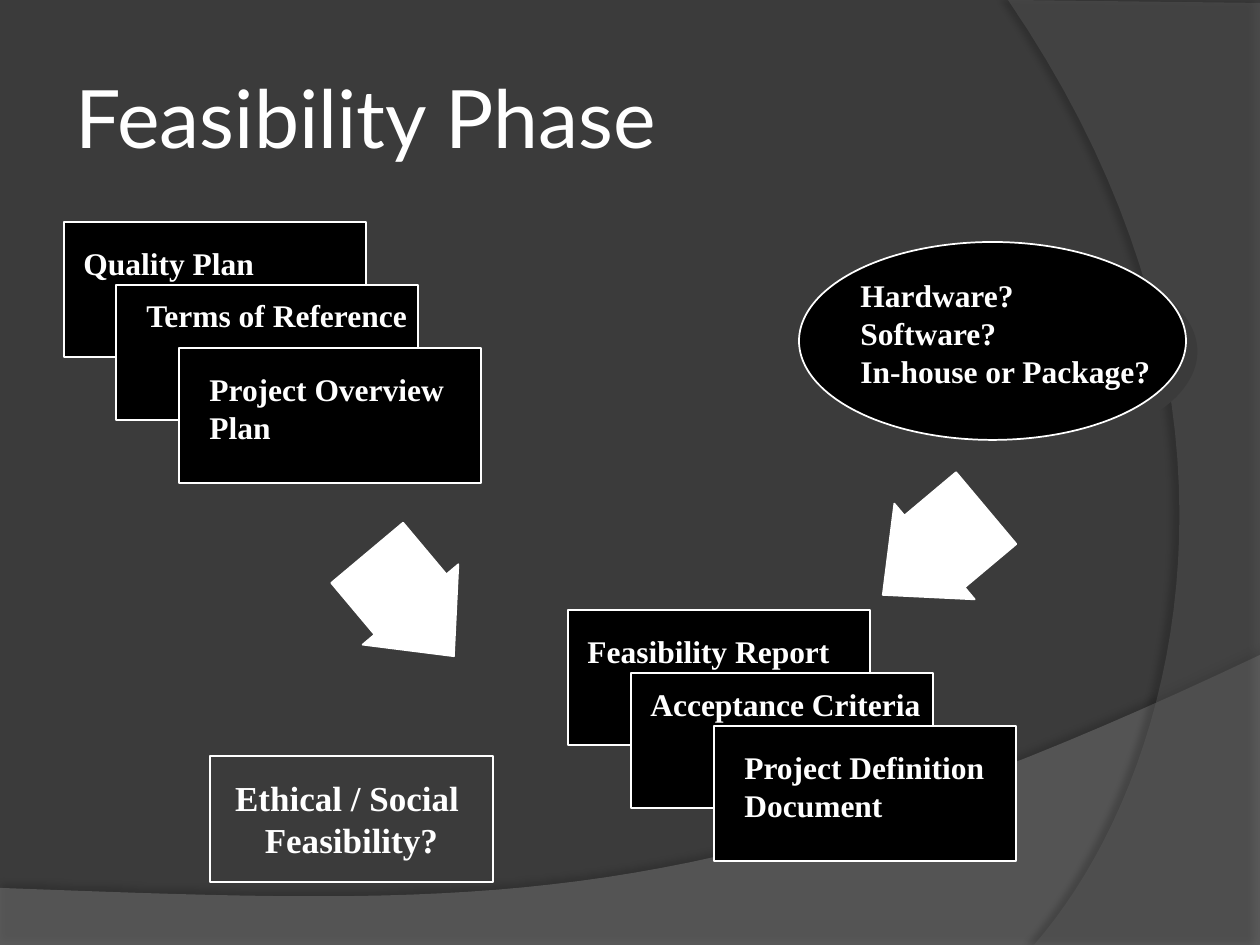
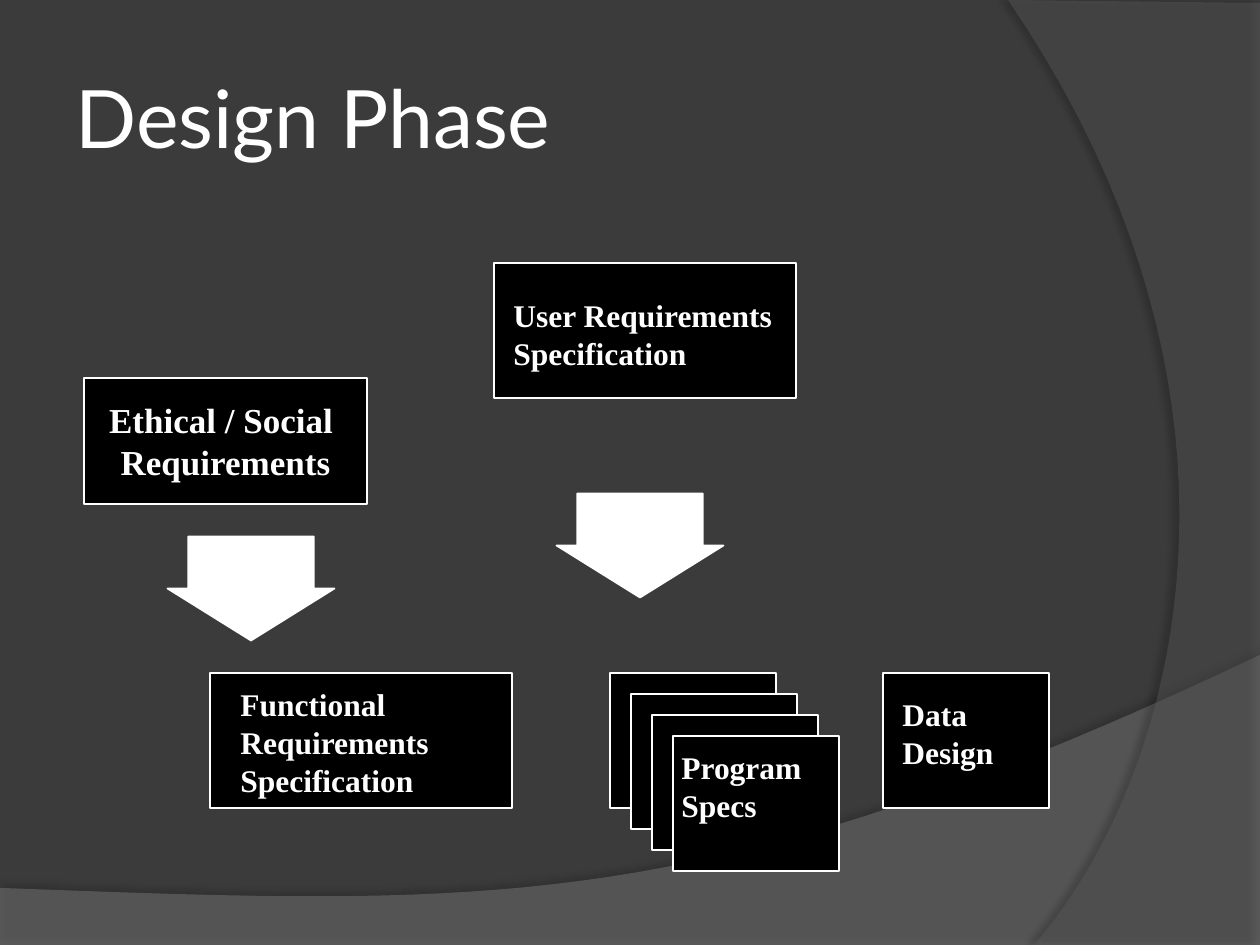
from dataclasses import dataclass

from lxml.etree import SubElement
from pptx import Presentation
from pptx.dml.color import RGBColor as RGB
from pptx.enum.shapes import MSO_SHAPE as SHAPE
from pptx.enum.text import MSO_ANCHOR as ANCHOR, MSO_AUTO_SIZE as AUTO, PP_ALIGN as ALIGN
from pptx.oxml.ns import qn
from pptx.util import Pt


@dataclass(frozen=True)
class Theme:
    back: str = "3B3B3B"
    ink: str = "FFFFFF"
    card: str = "000000"
    floor: str = "7F7F7F"
    side: str = "5E5E5E"
    title_font: str = "Lato"
    text_font: str = "Times New Roman"
    title: int = 46
    label: int = 18
    issue: int = 20


T = Theme()
SCALE = 914400 / 126
CARD_W, CARD_H = 302, 135
SMALL_W = 166
STACK_STEP = 21
TITLE_BOX = (63, 38, 1029, 157)

BANDS = [
    dict(corners=[(0, 888), (0, 945), (1260, 945), (1260, 655)],
         curve=[(704, 919), (493, 906), (0, 888)],
         color=T.floor, alpha=45, shadow=("000000", 35, 4, 3.5, 270)),
    dict(corners=[(1260, 3), (1260, 945), (1034, 945)],
         curve=[(1178, 780), (1283, 402), (1008, 0)],
         color=T.side, alpha=40, shadow=("000000", 45, 4, 4, 180)),
]

SLIDES = [
    dict(
        title="Feasibility Phase",
        cards=[(64, 222, CARD_W), (116, 285, CARD_W), (179, 348, CARD_W),
               (568, 610, CARD_W), (631, 673, CARD_W), (714, 726, CARD_W)],
        ovals=[(799, 242, 387, 198)],
        labels=[(71, 238, 198, ["Quality Plan"]),
                (134, 290, 291, ["Terms of Reference"]),
                (197, 364, 270, ["Project Overview", "Plan"]),
                (575, 626, 270, ["Feasibility Report"]),
                (638, 679, 297, ["Acceptance Criteria"]),
                (732, 742, 267, ["Project Definition", "Document"]),
                (848, 270, 315, ["Hardware?", "Software?", "In-house or Package?"])],
        arrows=[(343, 542, 135, 125, 50, 0.54), (867, 489, 135, 125, 140, 0.54)],
        issue=(210, 756, None, ["Ethical / Social ", "Feasibility?"]),
    ),
    dict(
        title="Design Phase",
        cards=[(494, 263, CARD_W), (210, 673, CARD_W)]
              + [(610 + i * STACK_STEP, 673 + i * STACK_STEP, SMALL_W) for i in range(4)]
              + [(883, 673, SMALL_W)],
        ovals=[],
        labels=[(501, 290, 286, ["User Requirements", "Specification"]),
                (228, 679, 215, ["Functional", "Requirements", "Specification"]),
                (669, 742, 147, ["Program", "Specs"]),
                (890, 689, 117, ["Data", "Design"])],
        arrows=[(588, 462, 104, 167, 90, 0.5), (199, 505, 104, 167, 90, 0.5)],
        issue=(84, 378, T.card, ["Ethical / Social ", "Requirements"]),
    ),
]


def px(*values):
    return [round(v * SCALE) for v in values]


def rgb(color):
    return RGB.from_string(color)


def color_node(parent, color, alpha):
    node = SubElement(parent, qn("a:srgbClr"), val=color)
    SubElement(node, qn("a:alpha"), val=str(alpha * 1000))


def add_shadow(sp, color, alpha, blur, dist, angle):
    effects = sp.element.spPr.find(qn("a:effectLst"))
    shadow = SubElement(effects, qn("a:outerShdw"), blurRad=str(Pt(blur)),
                        dist=str(Pt(dist)), dir=str(angle * 60000),
                        algn="ctr", rotWithShape="0")
    color_node(shadow, color, alpha)


def add_box(slide, kind, box, fill=T.card, line=1):
    sp = slide.shapes.add_shape(kind, *px(*box))
    sp.shadow.inherit = False
    if fill:
        sp.fill.solid()
        sp.fill.fore_color.rgb = rgb(fill)
    else:
        sp.fill.background()
    sp.line.color.rgb = rgb(T.ink)
    sp.line.width = Pt(line)
    return sp


def write(tf, lines, size, align=ALIGN.LEFT, font=T.text_font, bold=True):
    for i, line in enumerate(lines):
        p = tf.add_paragraph() if i else tf.paragraphs[0]
        p.text = line
        p.alignment = align
        p.font.name = font
        p.font.size = Pt(size)
        p.font.bold = bold
        p.font.color.rgb = rgb(T.ink)


def bezier(start, c1, c2, end, steps=40):
    for i in range(1, steps + 1):
        t = i / steps
        u = 1 - t
        weights = (u ** 3, 3 * u * u * t, 3 * u * t * t, t ** 3)
        yield tuple(sum(w * pt[k] for w, pt in zip(weights, (start, c1, c2, end)))
                    for k in (0, 1))


def add_band(slide, corners, curve, color, alpha, shadow):
    points = corners[1:] + list(bezier(corners[-1], *curve))
    builder = slide.shapes.build_freeform(*px(*corners[0]))
    builder.add_line_segments([px(*pt) for pt in points])
    sp = builder.convert_to_shape()
    sp.shadow.inherit = False
    sp.fill.solid()
    sp.fill.fore_color.rgb = rgb(color)
    node = sp.element.spPr.find(qn("a:solidFill"))
    node.clear()
    color_node(node, color, alpha)
    sp.line.fill.background()
    add_shadow(sp, *shadow)
    return sp


def move_bands_to_layout(slide, layout):
    for i, band in enumerate(BANDS):
        el = add_band(slide, **band).element
        el.nvSpPr.cNvPr.set("id", str(50 + i))
        layout.shapes.element.insert(2 + i, el)


def add_title(slide, text):
    sp = slide.shapes.title
    sp.left, sp.top, sp.width, sp.height = px(*TITLE_BOX)
    tf = sp.text_frame
    tf.auto_size = AUTO.NONE
    tf.vertical_anchor = ANCHOR.MIDDLE
    write(tf, [text], T.title, font=T.title_font, bold=False)


def add_label(slide, x, y, w, lines):
    tf = slide.shapes.add_textbox(*px(x, y, w, 13 + 38 * len(lines))).text_frame
    tf.word_wrap = False
    tf.auto_size = AUTO.SHAPE_TO_FIT_TEXT
    write(tf, lines, T.label)


def add_arrow(slide, x, y, w, h, angle, head):
    sp = add_box(slide, SHAPE.RIGHT_ARROW, (x, y, w, h), T.ink)
    sp.adjustments[0] = 0.75
    sp.adjustments[1] = head
    sp.rotation = angle


def add_issue(slide, x, y, fill, lines):
    sp = add_box(slide, SHAPE.RECTANGLE, (x, y, 283, 126), fill, 0.75)
    tf = sp.text_frame
    tf.word_wrap = False
    tf.vertical_anchor = ANCHOR.MIDDLE
    write(tf, lines, T.issue, ALIGN.CENTER)


def fill_slide(slide, content):
    add_title(slide, content["title"])
    for x, y, w in content["cards"]:
        add_box(slide, SHAPE.RECTANGLE, (x, y, w, CARD_H))
    for oval in content["ovals"]:
        add_shadow(add_box(slide, SHAPE.OVAL, oval), T.back, 100, 0, 8.5, 45)
    for label in content["labels"]:
        add_label(slide, *label)
    for arrow in content["arrows"]:
        add_arrow(slide, *arrow)
    add_issue(slide, *content["issue"])


def main():
    prs = Presentation()
    prs.slide_width, prs.slide_height = px(1260, 945)
    back = prs.slide_master.background.fill
    back.solid()
    back.fore_color.rgb = rgb(T.back)
    layout = prs.slide_layouts[5]
    slides = [prs.slides.add_slide(layout) for _ in SLIDES]
    move_bands_to_layout(slides[0], layout)
    for slide, content in zip(slides, SLIDES):
        fill_slide(slide, content)
    prs.save("out.pptx")


if __name__ == "__main__":
    main()
